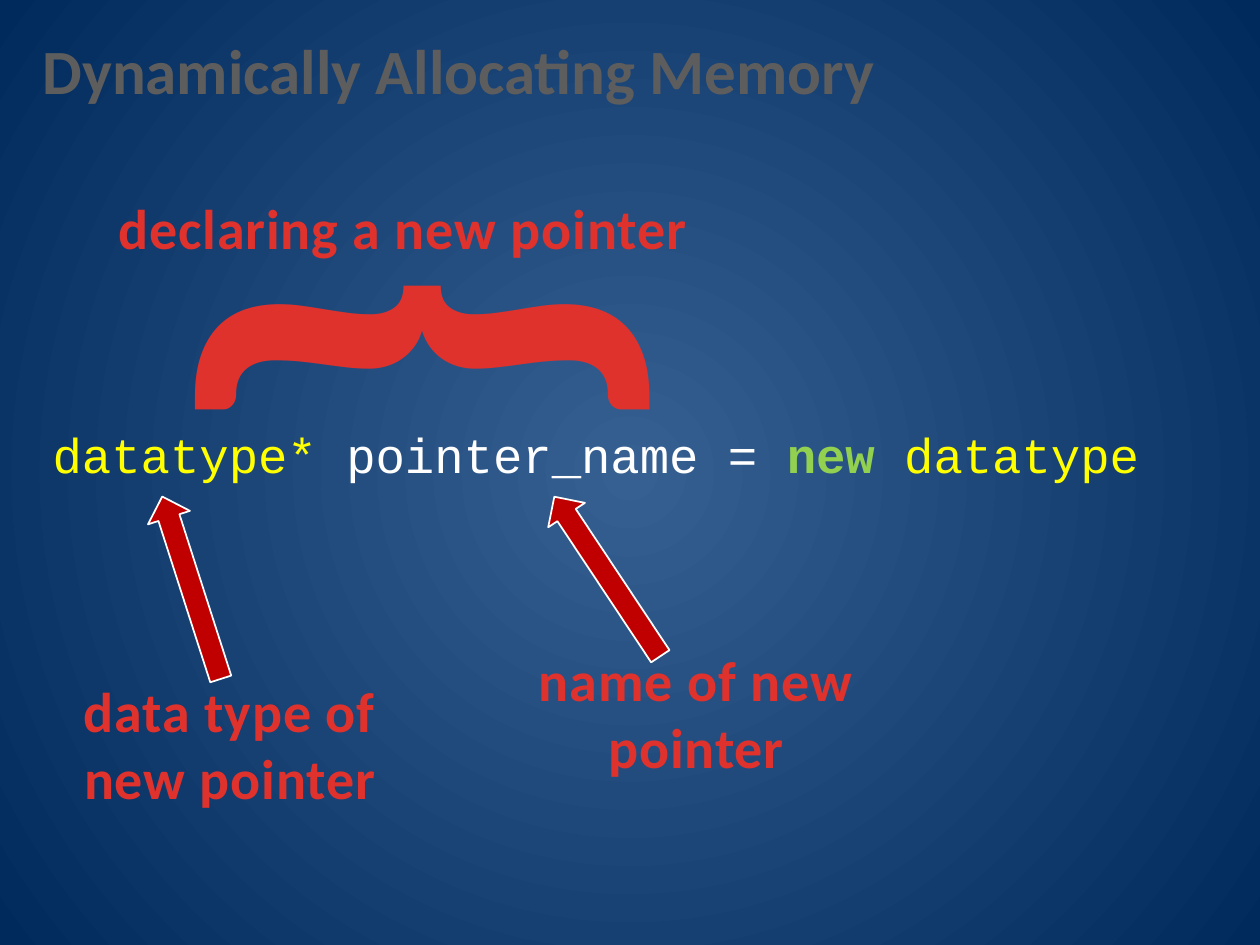
import pptx
import pptx.util
import pptx.dml.color
import pptx.enum.shapes
import pptx.enum.text
import pptx.oxml
import pptx.oxml.ns

RGBColor = pptx.dml.color.RGBColor
CENTER_BLUE = RGBColor(0x37, 0x60, 0x92)
EDGE_BLUE = RGBColor(0x00, 0x29, 0x5C)
LABEL_RED = RGBColor(0xE0, 0x32, 0x2D)
ARROW_RED = RGBColor(0xC0, 0x00, 0x00)
TITLE_GRAY = RGBColor(0x5D, 0x5D, 0x5D)
YELLOW = RGBColor(0xFF, 0xFF, 0x00)
GREEN = RGBColor(0x92, 0xD0, 0x50)
WHITE = RGBColor(0xFF, 0xFF, 0xFF)

deck = pptx.Presentation()
deck.slide_width = pptx.util.Inches(10)
deck.slide_height = pptx.util.Inches(7.5)
slide = deck.slides.add_slide(deck.slide_layouts[6])

# Radial background, light in the middle
backdrop = slide.background.fill
backdrop.gradient()
for stop, color, position in zip(backdrop.gradient_stops, (CENTER_BLUE, EDGE_BLUE), (0, 1)):
    stop.color.rgb = color
    stop.position = position
linear = slide.element.find(".//" + pptx.oxml.ns.qn("a:lin"))
linear.getparent().replace(linear, pptx.oxml.parse_xml(
    f'<a:path {pptx.oxml.ns.nsdecls("a")} path="circle">'
    '<a:fillToRect l="50000" t="50000" r="50000" b="50000"/></a:path>'))


def add_text(place, pieces, size, font="Calibri", bold=True, wrap=True, centered=False, spacing=0):
    """Add one paragraph of (words, colour) pieces; spacing is in hundredths of a point."""
    box = slide.shapes.add_textbox(*(pptx.util.Inches(length) for length in place))
    frame = box.text_frame
    frame.word_wrap = wrap
    frame.auto_size = pptx.enum.text.MSO_AUTO_SIZE.SHAPE_TO_FIT_TEXT
    paragraph = frame.paragraphs[0]
    if centered:
        paragraph.alignment = pptx.enum.text.PP_ALIGN.CENTER
    paragraph.font.name = font
    paragraph.font.size = pptx.util.Pt(size)
    paragraph.font.bold = bold
    for words, color in pieces:
        run = paragraph.add_run()
        run.text = words
        run.font.color.rgb = color
        if spacing:
            run.font._element.set("spc", str(spacing))
    return box


brace = add_text((0.39, 1.81, 5.18, 1.8), [("}", LABEL_RED)], 296, spacing=50)
brace.text_frame._txBody.bodyPr.set("vert", "vert270")

add_text((0.24, 0.2, 6.88, 0.71), [("Dynamically Allocating Memory", TITLE_GRAY)], 36, wrap=False)

statement = add_text(
    (0.32, 3.32, 9.13, 0.57),
    [("datatype* ", YELLOW), ("pointer_name = ", WHITE), ("new ", GREEN), ("datatype", YELLOW)],
    28, font="Courier New", bold=False, wrap=False)
statement.text_frame.paragraphs[0].runs[2].font.bold = True

for left, top, angle in ((0.76, 4.49, 252.2), (4.06, 4.4, 236.4)):
    arrow = slide.shapes.add_shape(
        pptx.enum.shapes.MSO_SHAPE.RIGHT_ARROW,
        *(pptx.util.Inches(length) for length in (left, top, 1.52, 0.35)))
    arrow.rotation = angle
    arrow.shadow.inherit = False
    arrow.fill.solid()
    arrow.fill.fore_color.rgb = ARROW_RED
    arrow.line.color.rgb = WHITE
    arrow.line.width = pptx.util.Pt(1)

for place, words, centered in (
    ((0.84, 1.49, 4.73, 0.64), "declaring a new pointer", False),
    ((4.17, 5.07, 2.71, 1.18), "name of new pointer", True),
    ((0.45, 5.32, 2.75, 1.18), "data type of new pointer", True),
):
    add_text(place, [(words, LABEL_RED)], 32, centered=centered, spacing=50)

deck.save("out.pptx")
